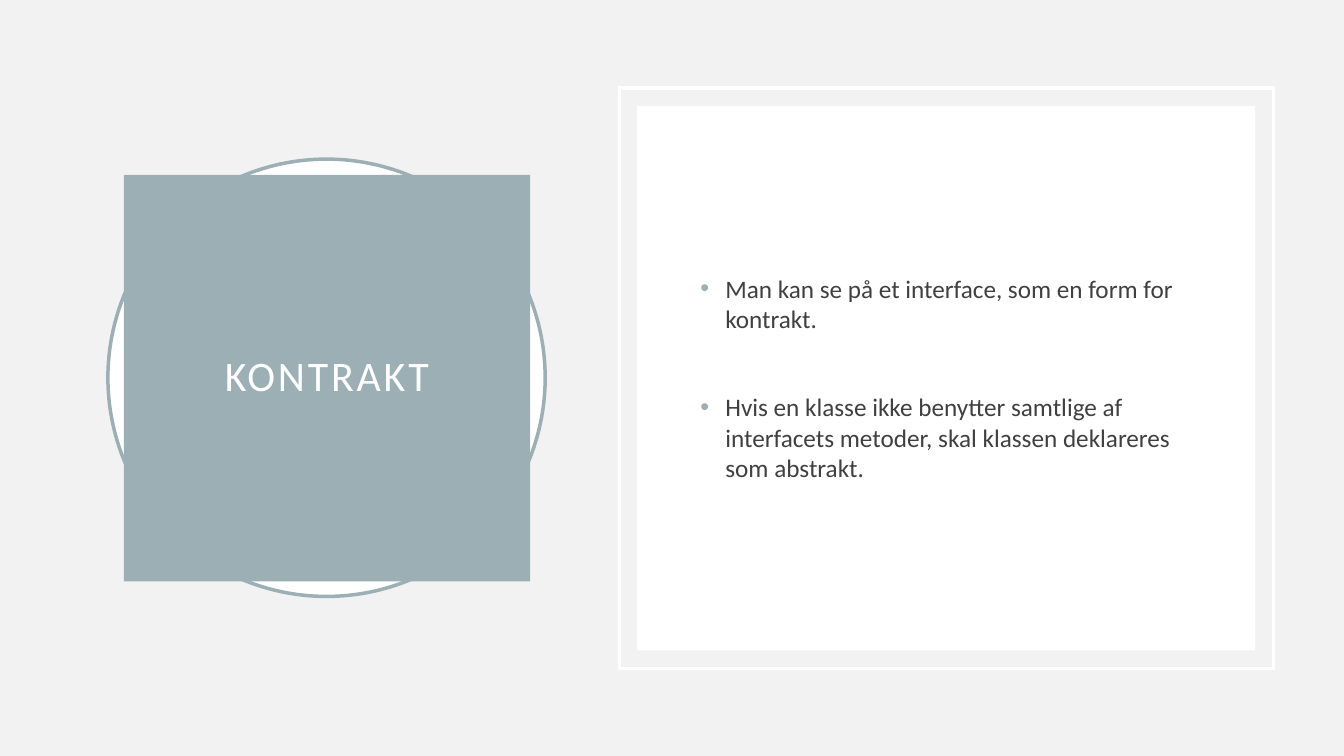
from pptx import Presentation
from pptx.dml.color import RGBColor
from pptx.enum.shapes import MSO_SHAPE as Shape
from pptx.enum.text import MSO_ANCHOR as Anchor, PP_ALIGN as Align
from pptx.oxml import parse_xml
from pptx.oxml.ns import nsdecls
from pptx.util import Cm, Pt

COLOURS = {name: RGBColor.from_string(code) for name, code in {
    "page": "F2F2F2", "accent": "9BAFB5", "white": "FFFFFF", "text": "404040",
}.items()}


def add_text(para, text, size, colour):
    span = para.add_run()
    span.text = text
    for name, value in {"name": "Calibri", "size": Pt(size)}.items():
        setattr(span.font, name, value)
    span.font.color.rgb = COLOURS[colour]
    return span


deck = Presentation()
deck.slide_width, deck.slide_height = Cm(33.87), Cm(19.05)
page = deck.slides.add_slide(deck.slide_layouts[6])
page.background.fill.solid()
page.background.fill.fore_color.rgb = COLOURS["page"]

# Panels from back to front: preset, left, top, width, height, fill, line
panels = {
    "ring": (Shape.OVAL, 2.72, 4.01, 11.02, 11.02, "white", "accent"),
    "title": (Shape.RECTANGLE, 3.12, 4.41, 10.24, 10.24, "accent", None),
    "frame": (Shape.RECTANGLE, 15.61, 2.22, 16.48, 14.63, None, "white"),
    "content": (Shape.RECTANGLE, 16.06, 2.67, 15.57, 13.72, "white", None),
}
shapes = {}
for name, (preset, *place, fill, line) in panels.items():
    panel = page.shapes.add_shape(preset, *map(Cm, place))
    panel.shadow.inherit = False
    if fill:
        panel.fill.solid()
        panel.fill.fore_color.rgb = COLOURS[fill]
    else:
        panel.fill.background()
    if line:
        panel.line.color.rgb = COLOURS[line]
        panel.line.width = Pt(2.5)
        mitre = parse_xml(f'<a:miter {nsdecls("a")} lim="800000"/>')
        panel.line._get_or_add_ln().append(mitre)
    else:
        panel.line.fill.background()
    shapes[name] = panel

title = shapes["title"].text_frame
title_format = {"word_wrap": True, "vertical_anchor": Anchor.MIDDLE}
for side in ("left", "top", "right", "bottom"):
    title_format[f"margin_{side}"] = Cm(0.51)
for name, value in title_format.items():
    setattr(title, name, value)
heading = title.paragraphs[0]
heading.alignment = Align.CENTER
heading.line_spacing = 0.9
span = add_text(heading, "KONTRAKT", 30, "white")
span.font._element.set("spc", "200")

box = page.shapes.add_textbox(Cm(17.4), Cm(4.01), Cm(12.93), Cm(11.02))
body = box.text_frame
body.word_wrap = True
body.vertical_anchor = Anchor.MIDDLE
points = [
    ("Man kan se på et interface, som en form for kontrakt.", 10),
    ("Hvis en klasse ikke benytter samtlige af interfacets metoder, "
     "skal klassen deklareres som abstrakt.", 41.5),
]
for index, (text, space_before) in enumerate(points):
    para = body.add_paragraph() if index else body.paragraphs[0]
    para.space_before = Pt(space_before)
    add_text(para, text, 18, "text")
    settings = para._p.get_or_add_pPr()
    settings.set("marL", str(Cm(0.63)))
    settings.set("indent", str(-Cm(0.63)))
    for bullet in (
        f'<a:buClr {nsdecls("a")}><a:srgbClr val="{COLOURS["accent"]}"/></a:buClr>',
        f'<a:buFont {nsdecls("a")} typeface="Arial"/>',
        f'<a:buChar {nsdecls("a")} char="•"/>',
    ):
        settings.append(parse_xml(bullet))

deck.save("out.pptx")
